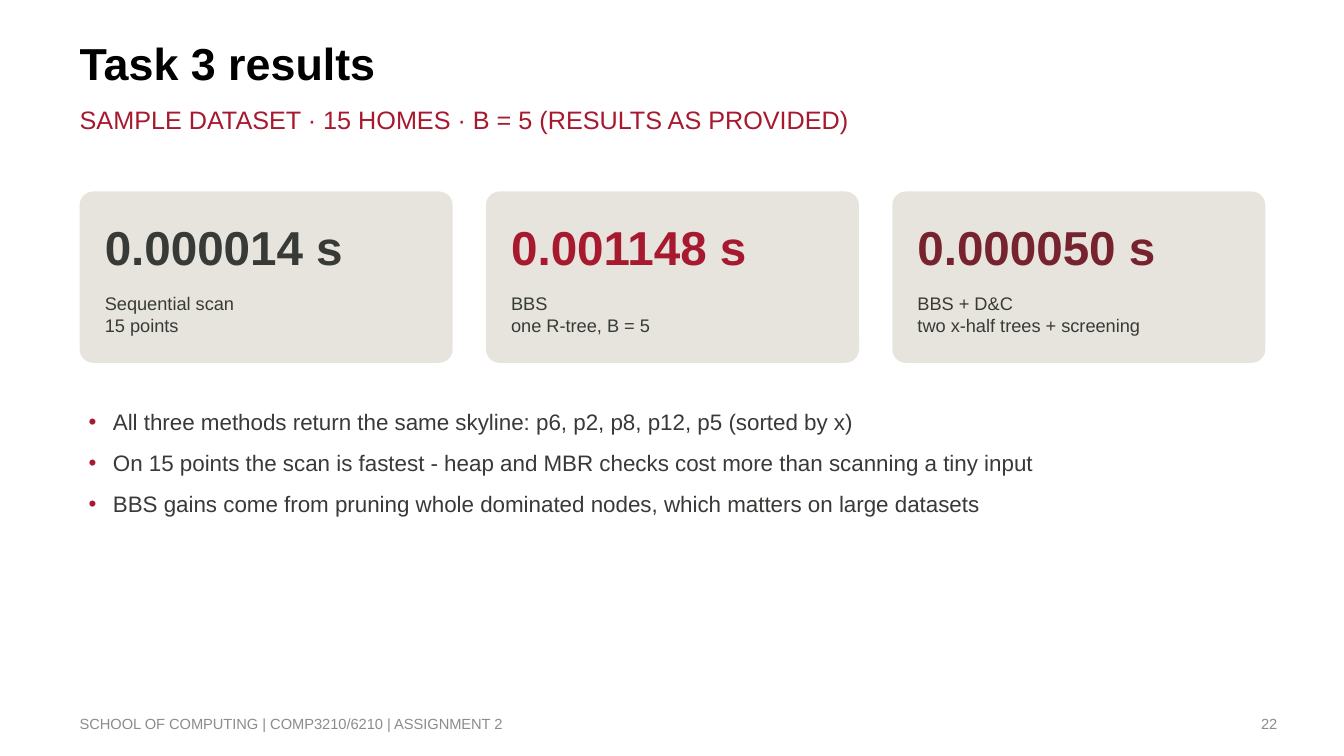
from lxml import etree
from pptx import Presentation
from pptx.dml.color import RGBColor
from pptx.enum.shapes import MSO_SHAPE
from pptx.enum.text import MSO_ANCHOR, MSO_AUTO_SIZE, PP_ALIGN
from pptx.oxml.ns import qn
from pptx.util import Inches, Pt

LEFT, RIGHT = PP_ALIGN.LEFT, PP_ALIGN.RIGHT
TOP, MIDDLE = MSO_ANCHOR.TOP, MSO_ANCHOR.MIDDLE
ROUNDED = MSO_SHAPE.ROUNDED_RECTANGLE
TWO_CONTENT = 3
FONT = "Arial"
COLORS = {"black": "000000", "ink": "373A36", "red": "A6192E",
          "maroon": "76232F", "sand": "E6E4DC", "grey": "8C8C8C"}

MARGIN = 0.79
CONTENT_W = 11.76
CARD_W = 3.7
CARDS = [
    ("0.000014 s", "ink", ["Sequential scan", "15 points"]),
    ("0.001148 s", "red", ["BBS", "one R-tree, B = 5"]),
    ("0.000050 s", "maroon", ["BBS + D&C", "two x-half trees + screening"]),
]
FINDINGS = [
    "All three methods return the same skyline: p6, p2, p8, p12, p5 (sorted by x)",
    "On 15 points the scan is fastest - heap and MBR checks cost more than scanning a tiny input",
    "BBS gains come from pruning whole dominated nodes, which matters on large datasets",
]


def rgb(name):
    return RGBColor.from_string(COLORS[name])


def set_bullet(p, char=None, color=None, left=0, hanging=0):
    """Give the paragraph a coloured bullet, or none."""
    pPr = p._p.get_or_add_pPr()
    pPr.set("marL", str(Inches(left)))
    pPr.set("indent", str(-Inches(hanging)))
    if char is None:
        etree.SubElement(pPr, qn("a:buNone"))
        return
    clr = etree.SubElement(pPr, qn("a:buClr"))
    etree.SubElement(clr, qn("a:srgbClr"), val=COLORS[color])
    etree.SubElement(pPr, qn("a:buFont"), typeface=FONT)
    etree.SubElement(pPr, qn("a:buChar"), char=char)


def write(sp, box, lines, size, color, bold=False, align=LEFT, anchor=TOP,
          inset=0, top=None, after=0, bullet=None):
    """Place a text shape in the box and fill it, one paragraph a line."""
    sp.left, sp.top, sp.width, sp.height = map(Inches, box)
    tf = sp.text_frame
    tf.word_wrap = True
    tf.auto_size = MSO_AUTO_SIZE.NONE
    tf.vertical_anchor = anchor
    tf.margin_left = tf.margin_right = tf.margin_bottom = Inches(inset)
    tf.margin_top = Inches(inset if top is None else top)
    for i, line in enumerate(lines):
        p = tf.add_paragraph() if i else tf.paragraphs[0]
        set_bullet(p, **(bullet or {}))
        p.alignment = align
        p.space_before, p.space_after = Pt(0), Pt(after)
        r = p.add_run()
        r.text = line
        r.font.name, r.font.size, r.font.bold = FONT, Pt(size), bold
        r.font.color.rgb = rgb(color)


def add_text(slide, box, lines, size, color, **style):
    sp = slide.shapes.add_textbox(*map(Inches, box))
    write(sp, box, lines, size, color, **style)


def add_heading(slide, x, y):
    write(slide.shapes.title, (x, y, 9.25, 0.71), ["Task 3 results"],
          32, "black", bold=True, top=0.05)
    write(slide.placeholders[1], (x, y + 0.69, 9.34, 0.49),
          ["SAMPLE DATASET · 15 HOMES · B = 5 (RESULTS AS PROVIDED)"],
          18, "red", top=0.04)


def add_card(slide, box, value, color, caption):
    x, y, w, h = box
    sp = slide.shapes.add_shape(ROUNDED, *map(Inches, box))
    sp.adjustments[0] = 0.08
    sp.shadow.inherit = False
    sp.fill.solid()
    sp.fill.fore_color.rgb = rgb("sand")
    sp.line.fill.background()
    add_text(slide, (x + 0.2, y + 0.15, w - 0.4, 0.8), [value], 34, color,
             bold=True, anchor=MIDDLE, inset=0.05, after=6)
    add_text(slide, (x + 0.2, y + 0.95, w - 0.4, 0.65), caption, 13, "ink",
             inset=0.05)


def add_cards(slide, x, y, w, h):
    pitch = (w - CARD_W) / (len(CARDS) - 1)
    for i, card in enumerate(CARDS):
        add_card(slide, (x + i * pitch, y, CARD_W, h), *card)


def add_findings(slide, box):
    write(slide.placeholders[2], box, FINDINGS, 16, "ink", inset=0.05, after=10,
          bullet={"char": "•", "color": "red", "left": 0.28, "hanging": 0.24})


def add_footer(slide, x, y, h):
    add_text(slide, (x, y, 5.88, h),
             ["SCHOOL OF COMPUTING | COMP3210/6210 | ASSIGNMENT 2"],
             10.5, "grey", anchor=MIDDLE)
    add_text(slide, (9.56, y, 3.11, h), ["22"], 10.5, "grey",
             align=RIGHT, anchor=MIDDLE)


def main():
    prs = Presentation()
    prs.slide_width, prs.slide_height = Inches(13.33), Inches(7.5)
    slide = prs.slides.add_slide(prs.slide_layouts[TWO_CONTENT])
    add_heading(slide, MARGIN, 0.3)
    add_cards(slide, MARGIN, 1.9, CONTENT_W, 1.7)
    add_findings(slide, (MARGIN, 4, CONTENT_W, 2.4))
    add_footer(slide, MARGIN, 6.98, 0.4)
    prs.save("out.pptx")


if __name__ == "__main__":
    main()
